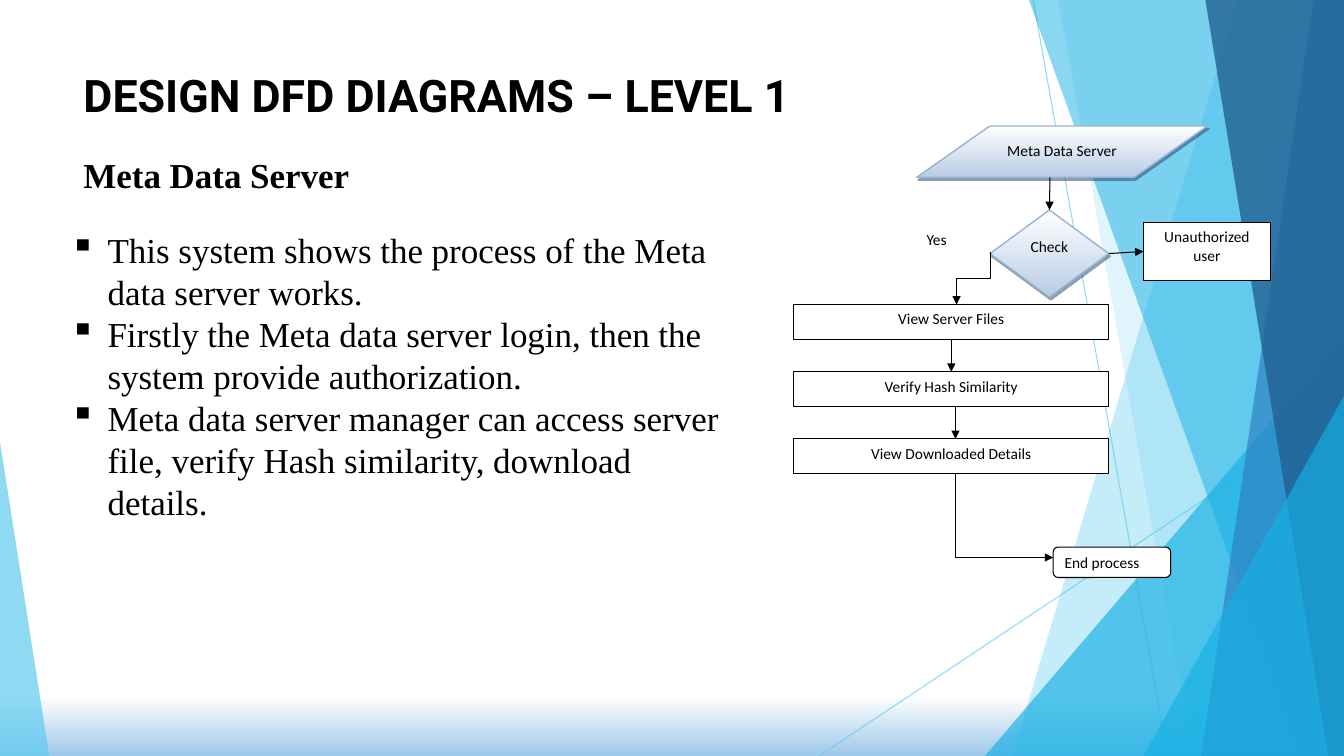
from lxml.etree import SubElement
from pptx import Presentation
from pptx.dml.color import RGBColor
from pptx.enum.shapes import MSO_CONNECTOR, MSO_SHAPE
from pptx.enum.text import MSO_ANCHOR, MSO_AUTO_SIZE, PP_ALIGN
from pptx.oxml.ns import qn
from pptx.util import Pt

PX = 9525  # EMU in one px, 96 px to the inch
WIDTH, HEIGHT = 1280, 720

BLACK = RGBColor(0x00, 0x00, 0x00)
WHITE = RGBColor(0xFF, 0xFF, 0xFF)
SKY = RGBColor(0x5F, 0xCB, 0xEF)
CYAN = RGBColor(0x17, 0xB0, 0xE4)
BLUE = RGBColor(0x2E, 0x83, 0xC3)
NAVY = RGBColor(0x22, 0x62, 0x92)
HORIZON = RGBColor(0x9D, 0xC8, 0xE8)
PALE_BLUE = RGBColor(0xB8, 0xCC, 0xE4)
EDGE_BLUE = RGBColor(0x95, 0xB3, 0xD7)
SHADOW_BLUE = RGBColor(0x24, 0x3F, 0x60)


def write(shape, *lines, font="Calibri", size=11, bold=False, align=PP_ALIGN.LEFT,
          wrap=True, grow=False, bullet=None, spacing=None):
    frame = shape.text_frame
    frame.word_wrap = wrap
    frame.vertical_anchor = MSO_ANCHOR.TOP
    frame.auto_size = MSO_AUTO_SIZE.SHAPE_TO_FIT_TEXT if grow else MSO_AUTO_SIZE.NONE
    for index, line in enumerate(lines):
        para = frame.add_paragraph() if index else frame.paragraphs[0]
        para.alignment = align
        if spacing:
            para.line_spacing = Pt(spacing)
        if bullet:
            properties = para._p.get_or_add_pPr()
            properties.set("marL", str(36 * PX))
            properties.set("indent", str(-36 * PX))
            SubElement(properties, qn("a:buChar")).set("char", bullet)
        span = para.add_run()
        span.text = line
        span.font.name = font
        span.font.size = Pt(size)
        span.font.bold = bold
        span.font.color.rgb = BLACK


def draw_line(start, end, color=BLACK, arrow=True, opacity=100, kind=MSO_CONNECTOR.STRAIGHT):
    line = page.shapes.add_connector(kind, *(value * PX for value in start + end))
    line.line.width = Pt(0.75)
    line.line.color.rgb = color
    properties = line._element.spPr
    if opacity < 100:
        tint = properties.find(".//" + qn("a:srgbClr"))
        SubElement(tint, qn("a:alpha")).set("val", str(opacity * 1000))
    if arrow:
        SubElement(properties.find(qn("a:ln")), qn("a:tailEnd")).set("type", "triangle")
    SubElement(properties, qn("a:effectLst"))
    return line


deck = Presentation()
deck.slide_width, deck.slide_height = WIDTH * PX, HEIGHT * PX
page = deck.slides.add_slide(deck.slide_layouts[6])

# Background: white with a blue band along the bottom
backdrop = page.background.fill
backdrop.gradient()
backdrop.gradient_angle = 270
for stop, position, color in zip(backdrop.gradient_stops, (0.92, 1), (WHITE, HORIZON)):
    stop.position = position
    stop.color.rgb = color

# Decorative rays and facets
draw_line((984, 0), (1112, HEIGHT), SKY, arrow=False, opacity=70)
draw_line((WIDTH, 387), (780, HEIGHT), SKY, arrow=False, opacity=70)

# Bands give their left edge at top and bottom; triangles give left, top, width and apex
facets = [
    ((1179, 964), SKY, 36),
    ((1008, 1136), SKY, 20),
    ((938, 320, 342, 1), CYAN, 66),
    ((980, 1239), CYAN, 50),
    ((1251, 1144), BLUE, 70),
    ((1148, 1265), NAVY, 80),
    ((1089, 377, 191, 1), CYAN, 66),
    ((0, 421, 47, 0), SKY, 70),
]
for outline, color, opacity in facets:
    if len(outline) == 2:
        top_left, bottom_left = outline
        builder = page.shapes.build_freeform(top_left, 0, scale=PX)
        builder.add_line_segments([(WIDTH, 0), (WIDTH, HEIGHT), (bottom_left, HEIGHT)])
        facet = builder.convert_to_shape()
    else:
        left, top, width, apex = outline
        facet = page.shapes.add_shape(MSO_SHAPE.ISOSCELES_TRIANGLE, left * PX, top * PX,
                                      width * PX, (HEIGHT - top) * PX)
        facet.adjustments[0] = apex
    facet.shadow.inherit = False
    facet.line.fill.background()
    facet.fill.solid()
    facet.fill.fore_color.rgb = color
    tint = facet._element.spPr.find(".//" + qn("a:srgbClr"))
    SubElement(tint, qn("a:alpha")).set("val", str(opacity * 1000))

# Flowchart boxes
STEP_TOP, STEP_PITCH = 290, 64
steps = ["View Server Files", "Verify Hash Similarity", "View Downloaded Details"]
nodes = [
    ("Yes", MSO_SHAPE.RECTANGLE, (873, 214, 41, 30), None, WHITE, PP_ALIGN.LEFT),
    ("Unauthorized user", MSO_SHAPE.RECTANGLE, (1089, 212, 121, 55), None, BLACK, PP_ALIGN.CENTER),
    ("Meta Data Server", MSO_SHAPE.PARALLELOGRAM, (873, 120, 277, 49), 1.425, EDGE_BLUE,
     PP_ALIGN.CENTER),
    ("Check", MSO_SHAPE.DIAMOND, (943, 200, 113, 83), None, EDGE_BLUE, PP_ALIGN.CENTER),
    ("End process", MSO_SHAPE.ROUNDED_RECTANGLE, (1003, 521, 112, 29), 0.167, BLACK,
     PP_ALIGN.LEFT),
]
for row, step in enumerate(steps):
    nodes.append((step, MSO_SHAPE.RECTANGLE, (756, STEP_TOP + row * STEP_PITCH, 300, 33),
                  None, BLACK, PP_ALIGN.CENTER))

boxes = {}
for label, preset, place, adjustment, edge, align in nodes:
    box = page.shapes.add_shape(preset, *(value * PX for value in place))
    if adjustment is not None:
        box.adjustments[0] = adjustment
    box.shadow.inherit = False
    box.line.color.rgb = edge
    box.line.width = Pt(0.75)
    if edge == EDGE_BLUE:
        box.line.width = Pt(1)
        box.fill.gradient()
        box.fill.gradient_angle = 270
        for stop, position, color in zip(box.fill.gradient_stops, (0, 1), (WHITE, PALE_BLUE)):
            stop.position = position
            stop.color.rgb = color
        effects = box._element.spPr.find(qn("a:effectLst"))
        shadow = SubElement(effects, qn("a:outerShdw"), dist=str(Pt(2.2)),
                            dir=str(63 * 60000), algn="ctr", rotWithShape="0")
        tint = SubElement(shadow, qn("a:srgbClr"), val=str(SHADOW_BLUE))
        SubElement(tint, qn("a:alpha")).set("val", "50000")
    else:
        box.fill.solid()
        box.fill.fore_color.rgb = WHITE
    write(box, label, align=align)
    boxes[label] = box

# Flowchart arrows
draw_line((1000, 169), (1000, 200)).end_connect(boxes["Check"], 0)
refusal = draw_line((1056, 241), (1089, 240))
refusal.begin_connect(boxes["Check"], 3)
refusal.end_connect(boxes["Unauthorized user"], 1)
files_to_hash = draw_line((906, 323), (906, 354))
files_to_hash.begin_connect(boxes[steps[0]], 2)
files_to_hash.end_connect(boxes[steps[1]], 0)
draw_line((910, 387), (910, 418))
draw_line((910, 451), (910, 531), arrow=False)
draw_line((910, 531), (1003, 531))

# The approval elbow leaves downwards, so it is turned a quarter
approval = draw_line((902, 249), (952, 281), kind=MSO_CONNECTOR.ELBOW)
approval._element.spPr.find(qn("a:xfrm")).set("rot", str(90 * 60000))

# Headings and bullets
title = page.shapes.add_textbox(70 * PX, 60 * PX, 703 * PX, 61 * PX)
write(title, "DESIGN DFD DIAGRAMS – LEVEL 1", font="Roboto", size=32, bold=True,
      wrap=False, grow=True)
subtitle = page.shapes.add_textbox(70 * PX, 141 * PX, 276 * PX, 50 * PX)
write(subtitle, "Meta Data Server", font="Times New Roman", size=25, bold=True,
      wrap=False, grow=True)
summary = page.shapes.add_textbox(57 * PX, 213 * PX, 640 * PX, 293 * PX)
write(summary,
      "This system shows the process of the Meta data server works.",
      "Firstly the Meta data server login, then the system provide authorization.",
      "Meta data server manager can access server file, verify Hash similarity, download details.",
      font="Times New Roman", size=25, grow=True, bullet="▪", spacing=30)

deck.save("out.pptx")
